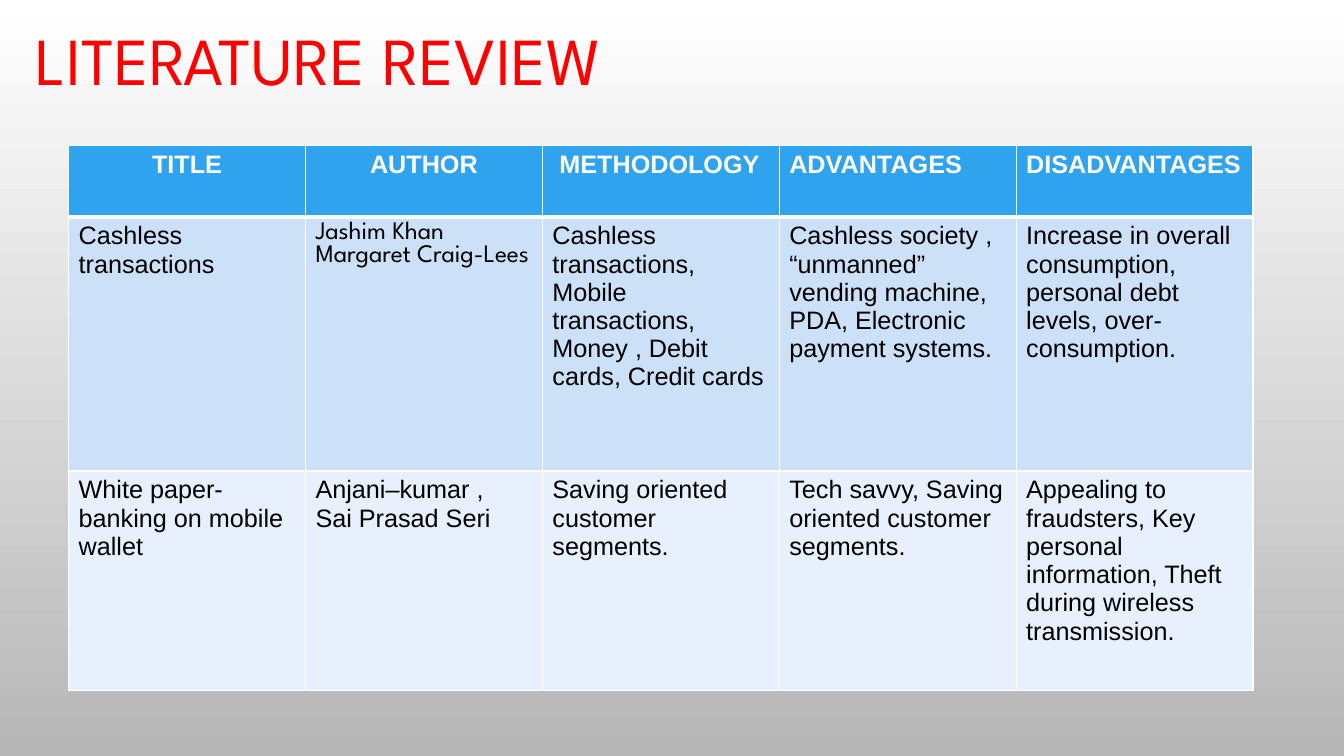
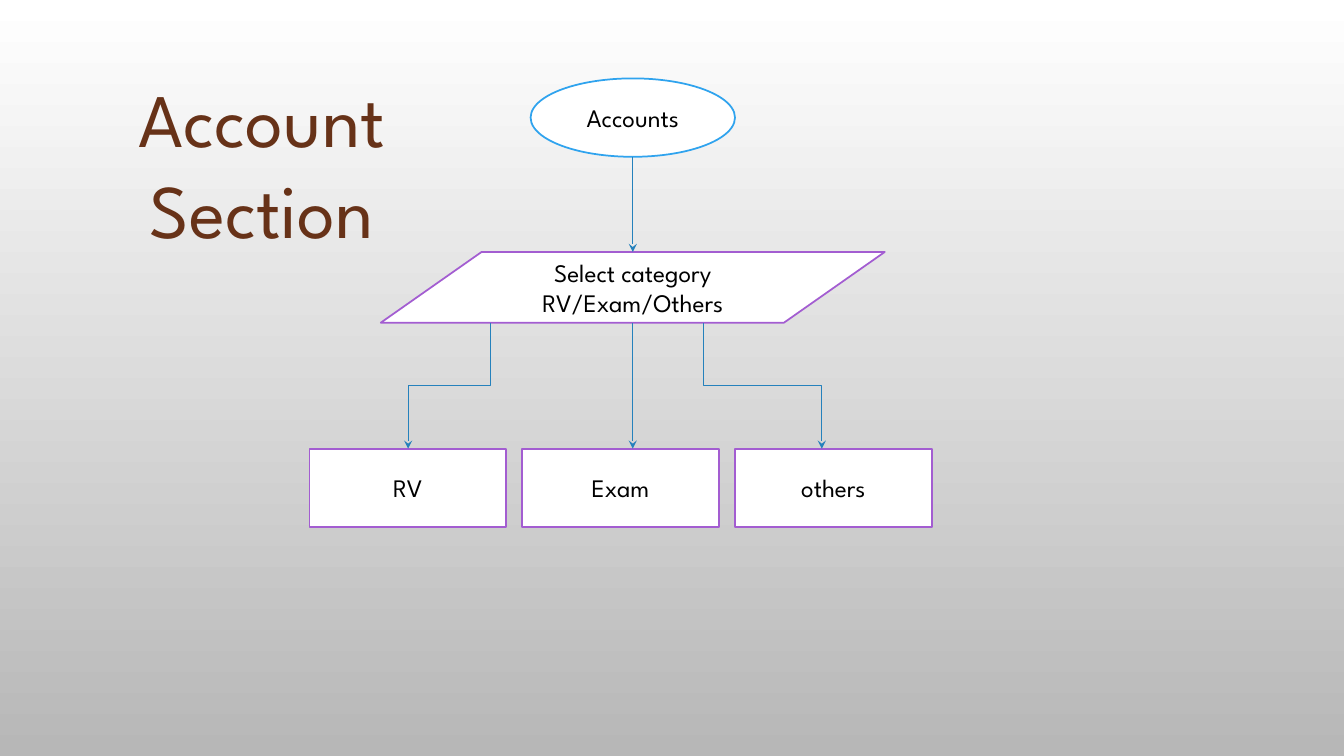
from lxml import etree
from pptx import Presentation
from pptx.dml.color import RGBColor
from pptx.enum.shapes import MSO_CONNECTOR, MSO_SHAPE
from pptx.enum.text import MSO_ANCHOR, PP_ALIGN
from pptx.oxml.ns import qn
from pptx.util import Pt

LEFT, CENTER = PP_ALIGN.LEFT, PP_ALIGN.CENTER
MIDDLE = MSO_ANCHOR.MIDDLE
ELLIPSE, RECTANGLE = MSO_SHAPE.OVAL, MSO_SHAPE.RECTANGLE
DATA_BOX = MSO_SHAPE.FLOWCHART_DATA
STRAIGHT, ELBOW = MSO_CONNECTOR.STRAIGHT, MSO_CONNECTOR.ELBOW

# Shared look
DISPLAY_FONT, TABLE_FONT = "League Spartan", "Arial"
BODY_SIZE = 18
WHITE, GRAY, BLACK = "FFFFFF", "B7B7B7", "000000"
RED, BROWN = "FF0000", "673218"
BLUE, ARROW_BLUE, PURPLE = "2FA3EE", "2581BC", "A35DD1"
ROW_FILLS = [BLUE, "CCE0F8", "E7F0FC"]

# Literature table
COLUMN_WIDTH = 169.2
ROW_HEIGHTS = [51, 181.5, 157]
LITERATURE = [
    ["TITLE", "AUTHOR", " METHODOLOGY", "ADVANTAGES", "DISADVANTAGES"],
    ["Cashless transactions",
     "Jashim Khan\nMargaret Craig-Lees",
     "Cashless transactions,\nMobile transactions,\n"
     "Money , Debit cards, Credit cards",
     "Cashless society ,\n“unmanned” vending machine, PDA, "
     "Electronic payment systems.",
     "Increase in overall consumption, personal debt levels, "
     "over-consumption."],
    ["White paper- banking on mobile wallet",
     "Anjani–kumar ,\nSai Prasad Seri",
     "Saving oriented customer segments.",
     "Tech savvy, Saving oriented customer segments.",
     "Appealing to fraudsters, Key personal information, "
     "Theft during wireless transmission."],
]
CENTERED_HEADERS = ("TITLE", "AUTHOR")
DISPLAY_CELL = (1, 1)

# Account flowchart
AXIS = 452
CATEGORIES = ["RV", "Exam", "others"]
CATEGORY_LEFT, CATEGORY_TOP, CATEGORY_STEP = 221, 320.5, 152
CATEGORY_WIDTH, CATEGORY_HEIGHT = 140.5, 56


def color(value):
    return RGBColor.from_string(value)


def set_background(deck):
    fill = deck.slide_master.background.fill
    fill.gradient()
    fill.gradient_angle = 270
    for stop, value in zip(fill.gradient_stops, [WHITE, GRAY]):
        stop.color.rgb = color(value)


def write_text(frame, text, size=BODY_SIZE, font=DISPLAY_FONT,
               text_color=BLACK, align=CENTER, bold=False):
    frame.text = text
    frame.word_wrap = True
    for para in frame.paragraphs:
        para.alignment = align
        for span in para.runs:
            span.font.name = font
            span.font.size = Pt(size)
            span.font.bold = bold
            span.font.color.rgb = color(text_color)


def add_page(deck):
    return deck.slides.add_slide(deck.slide_layouts[6])


def add_title(page, text, left, top, width, height, size, text_color):
    box = page.shapes.add_textbox(Pt(left), Pt(top), Pt(width), Pt(height))
    write_text(box.text_frame, text, size, text_color=text_color)


def set_borders(cell, top, bottom):
    properties = cell._tc.get_or_add_tcPr()
    for side, width in [("L", 1), ("R", 1), ("T", top), ("B", bottom)]:
        line = etree.SubElement(properties, qn("a:ln" + side), w=str(Pt(width)))
        fill = etree.SubElement(line, qn("a:solidFill"))
        etree.SubElement(fill, qn("a:srgbClr"), val=WHITE)


def add_literature_table(page, left, top):
    column_count = len(LITERATURE[0])
    table = page.shapes.add_table(
        len(LITERATURE), column_count, Pt(left), Pt(top),
        Pt(COLUMN_WIDTH * column_count), Pt(sum(ROW_HEIGHTS))).table
    table.horz_banding = False
    for column in table.columns:
        column.width = Pt(COLUMN_WIDTH)
    for row_index, texts in enumerate(LITERATURE):
        table.rows[row_index].height = Pt(ROW_HEIGHTS[row_index])
        header = row_index == 0
        for column_index, text in enumerate(texts):
            cell = table.cell(row_index, column_index)
            display = (row_index, column_index) == DISPLAY_CELL
            write_text(cell.text_frame, text,
                       font=DISPLAY_FONT if display else TABLE_FONT,
                       text_color=WHITE if header else BLACK,
                       align=CENTER if text in CENTERED_HEADERS else LEFT,
                       bold=header)
            set_borders(cell, top=3 if row_index == 1 else 1,
                        bottom=3 if header else 1)
            cell.fill.solid()
            cell.fill.fore_color.rgb = color(ROW_FILLS[row_index])


def add_node(page, kind, text, left, top, width, height, outline=PURPLE):
    node = page.shapes.add_shape(kind, Pt(left), Pt(top), Pt(width), Pt(height))
    node.shadow.inherit = False
    node.fill.solid()
    node.fill.fore_color.rgb = color(WHITE)
    node.line.color.rgb = color(outline)
    node.line.width = Pt(1.25)
    node.text_frame.vertical_anchor = MIDDLE
    write_text(node.text_frame, text)


def add_arrow(page, kind, start_x, start_y, end_x, end_y):
    arrow = page.shapes.add_connector(
        kind, Pt(start_x), Pt(start_y), Pt(end_x), Pt(end_y))
    arrow.line.color.rgb = color(ARROW_BLUE)
    arrow.line.width = Pt(0.75)
    etree.SubElement(arrow.line._get_or_add_ln(), qn("a:tailEnd"),
                     type="stealth")
    etree.SubElement(arrow._element.spPr, qn("a:effectLst"))
    return arrow


def add_down_elbow(page, start_x, start_y, end_x, end_y):
    # An elbow leaves sideways, so it is laid flat and turned to leave downwards
    middle_x, middle_y = (start_x + end_x) / 2, (start_y + end_y) / 2
    half_length, half_shift = (end_y - start_y) / 2, abs(end_x - start_x) / 2
    goes_right = end_x > start_x
    reach = -half_length if goes_right else half_length
    arrow = add_arrow(page, ELBOW, middle_x - reach, middle_y - half_shift,
                      middle_x + reach, middle_y + half_shift)
    degrees = 270 if goes_right else 90
    arrow._element.spPr.find(qn("a:xfrm")).set("rot", str(degrees * 60000))


def build_literature_page(deck):
    page = add_page(deck)
    add_literature_table(page, 49, 104)
    add_title(page, "LITERATURE REVIEW", -13, 9.5, 481, 65.5, 48, RED)


def build_account_page(deck):
    page = add_page(deck)
    add_title(page, "Account Section", 13, 48, 348, 73, 54, BROWN)

    # Start and choice
    add_node(page, ELLIPSE, "Accounts", AXIS - 73, 56, 146, 56, BLUE)
    add_node(page, DATA_BOX, "Select category\nRV/Exam/Others",
             AXIS - 180, 180, 360, 50.5)
    add_arrow(page, STRAIGHT, AXIS, 112, AXIS, 180)

    # Categories
    for index, name in enumerate(CATEGORIES):
        add_node(page, RECTANGLE, name, CATEGORY_LEFT + index * CATEGORY_STEP,
                 CATEGORY_TOP, CATEGORY_WIDTH, CATEGORY_HEIGHT)
    add_down_elbow(page, 350.5, 230.5, 291.5, CATEGORY_TOP)
    add_arrow(page, STRAIGHT, AXIS, 230.5, AXIS, CATEGORY_TOP)
    add_down_elbow(page, 502.5, 230.5, 587, CATEGORY_TOP)


def main():
    deck = Presentation()
    deck.slide_width, deck.slide_height = Pt(960), Pt(540)
    set_background(deck)
    build_literature_page(deck)
    build_account_page(deck)
    deck.save("out.pptx")


if __name__ == "__main__":
    main()
